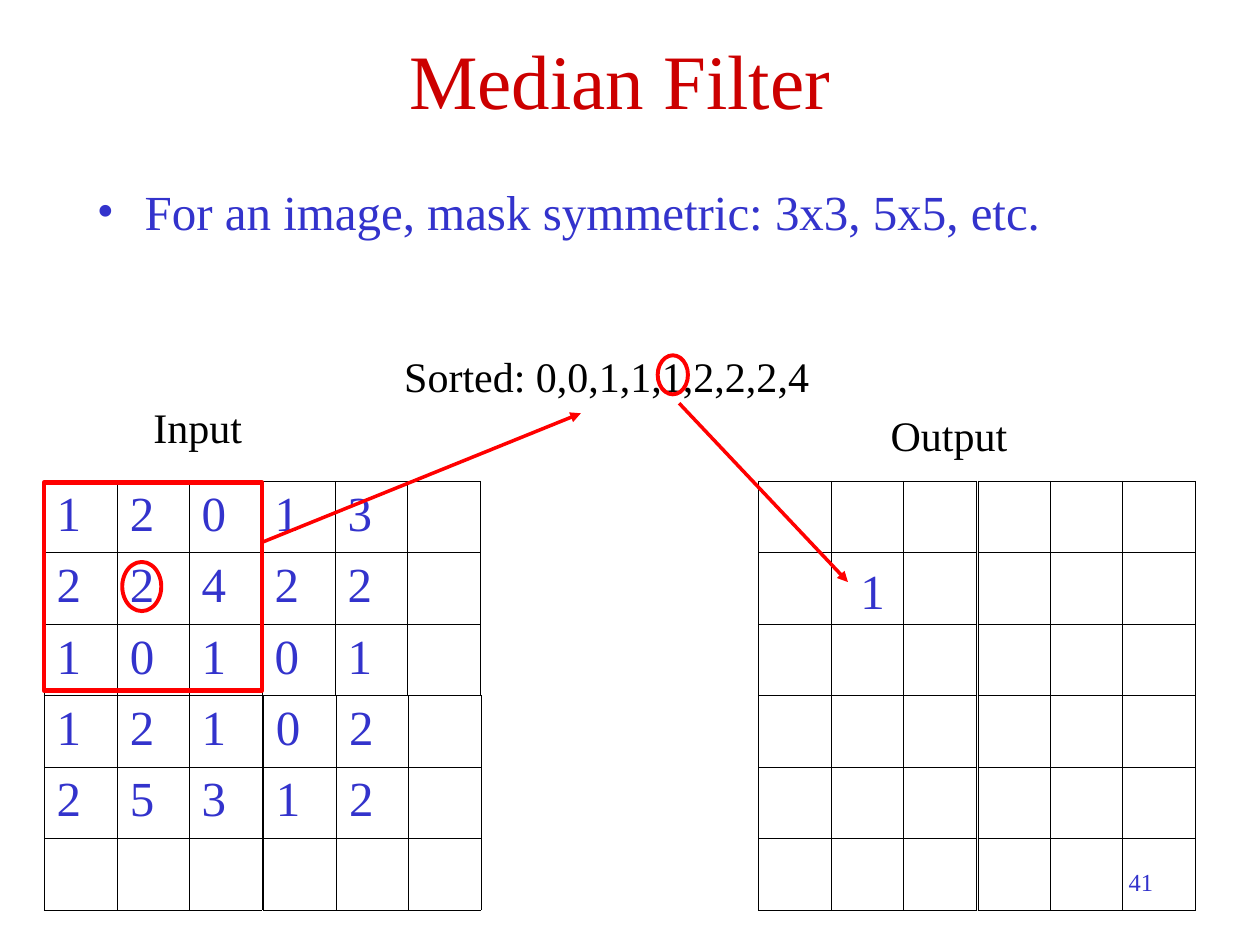
"""Builds the Median Filter slide: an input grid, its sorted mask values and the output grid."""
from lxml import etree
from pptx import Presentation
from pptx.dml.color import RGBColor
from pptx.enum.shapes import MSO_CONNECTOR, MSO_SHAPE
from pptx.enum.text import MSO_ANCHOR, MSO_AUTO_SIZE, PP_ALIGN
from pptx.oxml.ns import qn
from pptx.util import Emu, Inches, Pt

STRAIGHT = MSO_CONNECTOR.STRAIGHT
RECTANGLE, ELLIPSE = MSO_SHAPE.RECTANGLE, MSO_SHAPE.OVAL
LEFT, CENTER, RIGHT = PP_ALIGN.LEFT, PP_ALIGN.CENTER, PP_ALIGN.RIGHT
TOP, MIDDLE = MSO_ANCHOR.TOP, MSO_ANCHOR.MIDDLE
FIT_SHAPE, NO_FIT = MSO_AUTO_SIZE.SHAPE_TO_FIT_TEXT, MSO_AUTO_SIZE.NONE

BLACK = RGBColor(0x00, 0x00, 0x00)
BLUE = RGBColor(0x33, 0x33, 0xCC)
CRIMSON = RGBColor(0xCC, 0x00, 0x00)
RED = RGBColor(0xFF, 0x00, 0x00)

FONT = "Times New Roman"
UNIT = Inches(0.1)
INNER_BORDER, OUTER_BORDER = Pt(0.45), Pt(0.23)
CELL_WIDTHS = (5.8, 5.7, 5.8)
CELL_HEIGHT = 5.67
BLOCK = len(CELL_WIDTHS)
TABLE_ROWS = (38.2, 55.2)
INPUT_COLUMNS = ((3.5, 20.8), (3.5, 20.9))
OUTPUT_COLUMNS = ((60.2, 77.6), (60.2, 77.6))
INPUT_VALUES = ("12013", "22422", "10101", "12102", "25312", "")


def units(*lengths):
    """Turn grid columns or rows into slide lengths."""
    return [Emu(round(length * UNIT)) for length in lengths]


def write(frame, text, size=24, color=BLACK, align=LEFT, before=0, anchor=TOP):
    """Put one formatted paragraph into a text frame."""
    frame.vertical_anchor = anchor
    para = frame.paragraphs[0]
    para.alignment = align
    para.space_before = Pt(before)
    span = para.add_run()
    span.text = text
    span.font.name = FONT
    span.font.size = Pt(size)
    span.font.color.rgb = color
    return para


class Slide:
    """Holds the style and the current page, on a grid of 100 columns by 75 rows."""

    def __init__(self, deck):
        """Add a title-only page to the deck."""
        self.page = deck.slides.add_slide(deck.slide_layouts[5])
        self.shapes = self.page.shapes

    def title(self, text, *place):
        """Move and fill the title placeholder."""
        box = self.shapes.title
        box.left, box.top, box.width, box.height = units(*place)
        write(box.text_frame, text, size=44, color=CRIMSON, align=CENTER, anchor=MIDDLE)

    def text(self, text, *place, wrap=False, **style):
        """Add a text box and return its paragraph."""
        frame = self.shapes.add_textbox(*units(*place)).text_frame
        frame.word_wrap = wrap
        frame.auto_size = NO_FIT if wrap else FIT_SHAPE
        return write(frame, text, **style)

    def bullet(self, text, *place):
        """Add a wrapped text box with a hanging bullet."""
        para = self.text(text, *place, wrap=True, size=28, color=BLUE, before=7)
        indent = Inches(0.38)
        props = para._p.get_or_add_pPr()
        props.set("marL", str(indent))
        props.set("indent", str(-indent))
        etree.SubElement(props, qn("a:buFont"), typeface=FONT)
        etree.SubElement(props, qn("a:buChar"), char="•")

    def border(self, cell, row, column):
        """Draw the four borders of a cell, thinner on the outer sides."""
        last = BLOCK - 1
        outer = {"L": column == 0, "R": column == last, "T": False, "B": row == last}
        props = cell._tc.get_or_add_tcPr()
        for side, is_outer in outer.items():
            width = OUTER_BORDER if is_outer else INNER_BORDER
            line = etree.SubElement(props, qn(f"a:ln{side}"), w=str(width))
            fill = etree.SubElement(line, qn("a:solidFill"))
            etree.SubElement(fill, qn("a:srgbClr"), val=str(BLACK))

    def block(self, left, top, values):
        """Add one three-by-three table."""
        place = units(left, top, sum(CELL_WIDTHS), CELL_HEIGHT * BLOCK)
        table = self.shapes.add_table(BLOCK, BLOCK, *place).table
        table.first_row = table.horz_banding = False
        for column, width in zip(table.columns, units(*CELL_WIDTHS)):
            column.width = width
        for r, digits in enumerate(values):
            table.rows[r].height = units(CELL_HEIGHT)[0]
            for c in range(BLOCK):
                cell = table.cell(r, c)
                self.border(cell, r, c)
                cell.fill.background()
                if digits[c:c + 1]:
                    write(cell.text_frame, digits[c], size=28, color=BLUE, before=7)

    def matrix(self, columns, values):
        """Add a six-by-six matrix as four blocks."""
        for band, (top, lefts) in enumerate(zip(TABLE_ROWS, columns)):
            rows = values[band * BLOCK:(band + 1) * BLOCK]
            for part, left in enumerate(lefts):
                start = part * BLOCK
                self.block(left, top, [row[start:start + BLOCK] for row in rows])

    def outline(self, kind, *place, weight=2.25):
        """Add an unfilled red shape."""
        shape = self.shapes.add_shape(kind, *units(*place))
        shape.shadow.inherit = False
        shape.fill.background()
        shape.line.color.rgb = RED
        shape.line.width = Pt(weight)

    def arrow(self, *ends):
        """Add a red arrow between two points."""
        connector = self.shapes.add_connector(STRAIGHT, *units(*ends))
        connector.line.color.rgb = RED
        connector.line.width = Pt(2)
        etree.SubElement(connector.line._get_or_add_ln(), qn("a:tailEnd"), type="triangle")
        etree.SubElement(connector._element.spPr, qn("a:effectLst"))


def main():
    """Build and save the deck."""
    deck = Presentation()
    deck.slide_width, deck.slide_height = units(100, 75)
    slide = Slide(deck)
    slide.title("Median Filter", 6.7, 0, 85, 12.5)
    slide.bullet("For an image, mask symmetric: 3x3, 5x5, etc.", 6.7, 13.9, 81.9, 11.1)
    slide.matrix(INPUT_COLUMNS, INPUT_VALUES)
    slide.matrix(OUTPUT_COLUMNS, [""] * 6)
    slide.outline(RECTANGLE, 3.5, 38.3, 17.3, 16.5, weight=2.75)
    slide.arrow(20.9, 43, 46.1, 32.8)
    slide.text("Input", 11.2, 31.4, 9.3, 5)
    slide.text("Output", 69.7, 32, 11.5, 5)
    slide.text("Sorted: 0,0,1,1,1,2,2,2,4", 31.1, 27.3, 34.3, 5)
    slide.arrow(53.9, 32, 67.3, 46.2)
    slide.outline(ELLIPSE, 52.2, 28.2, 2.4, 3.1)
    slide.outline(ELLIPSE, 9.7, 44.6, 3.1, 3.9)
    slide.text("1", 67.3, 44, 3.9, 5.7, size=28, color=BLUE)
    slide.text("41", 71.7, 68.3, 20.8, 5, wrap=True, size=14, color=BLUE, align=RIGHT)
    deck.save("out.pptx")


if __name__ == "__main__":
    main()
